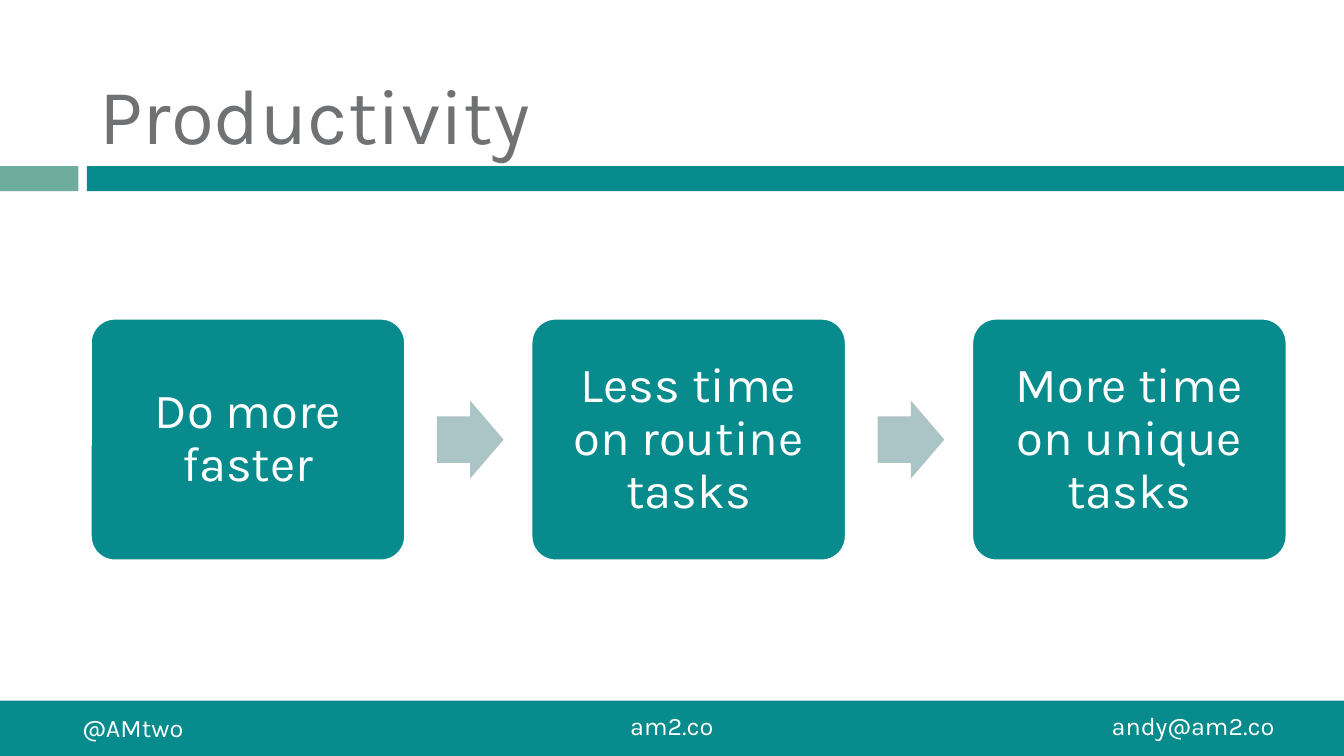
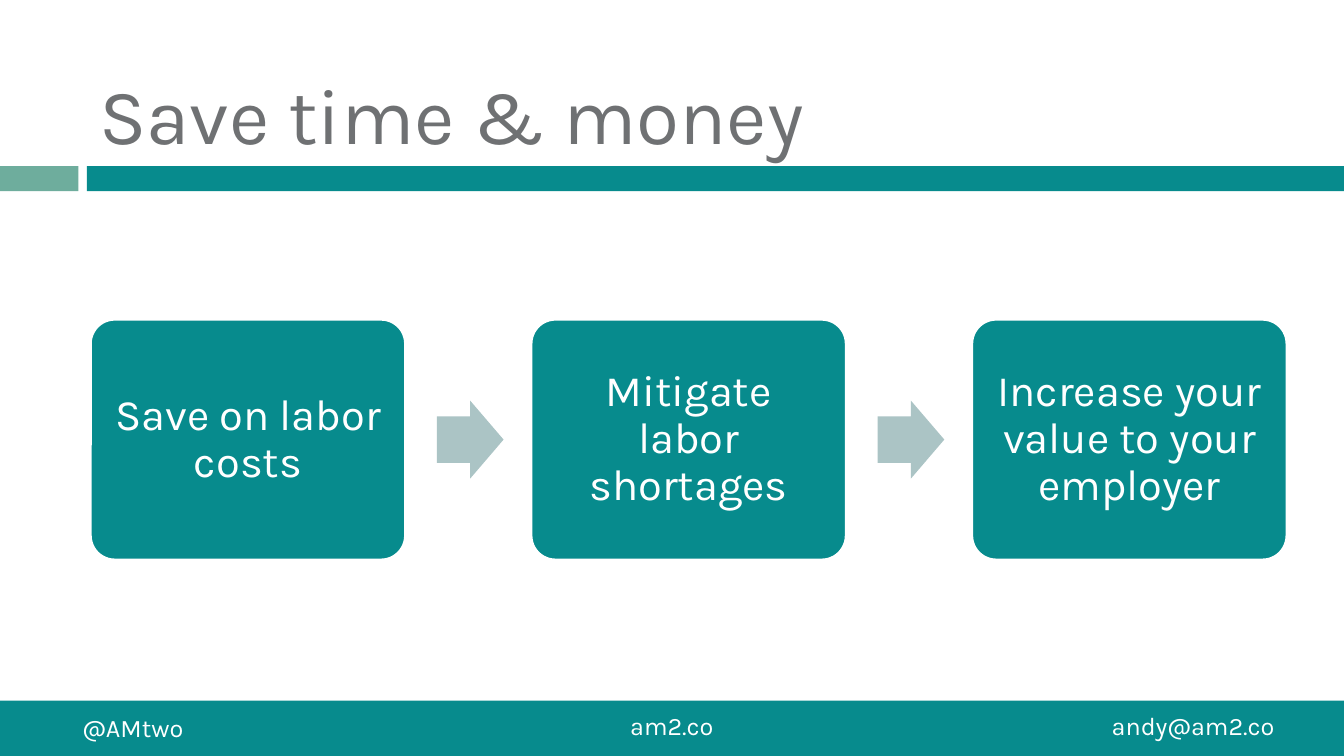
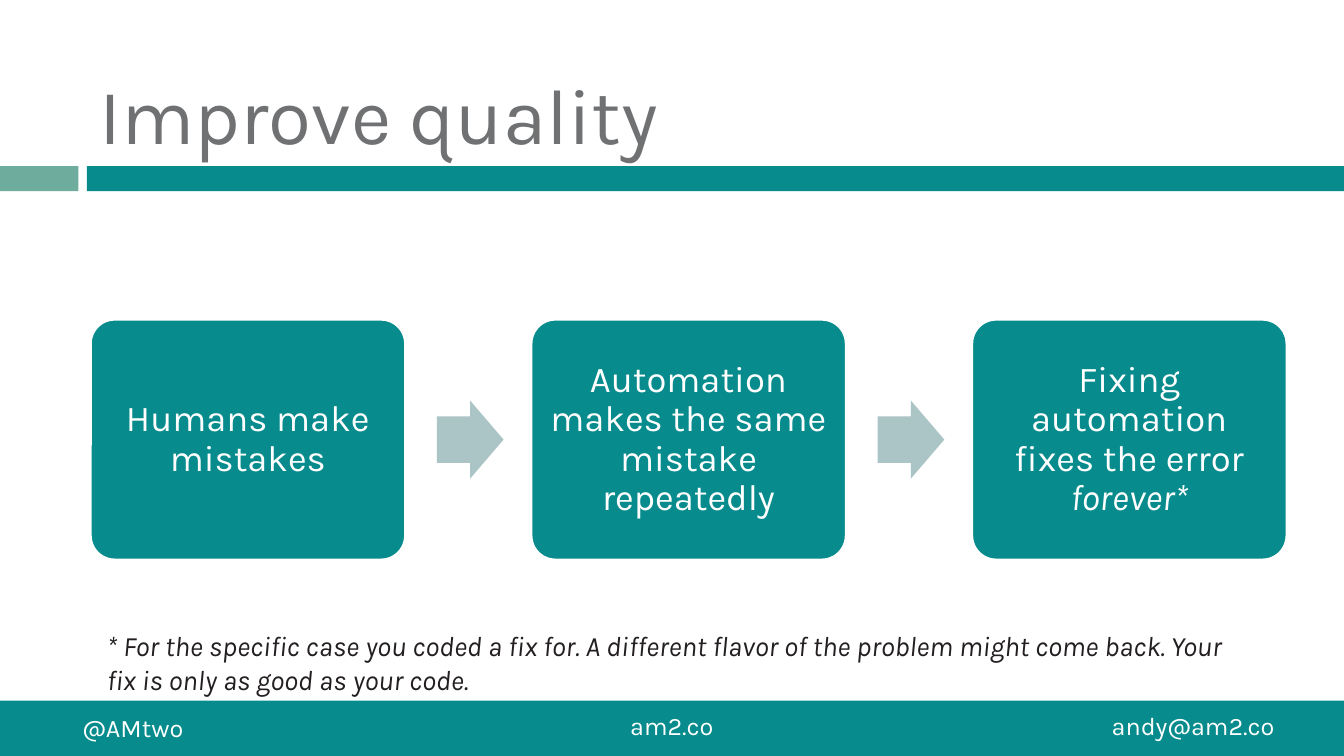
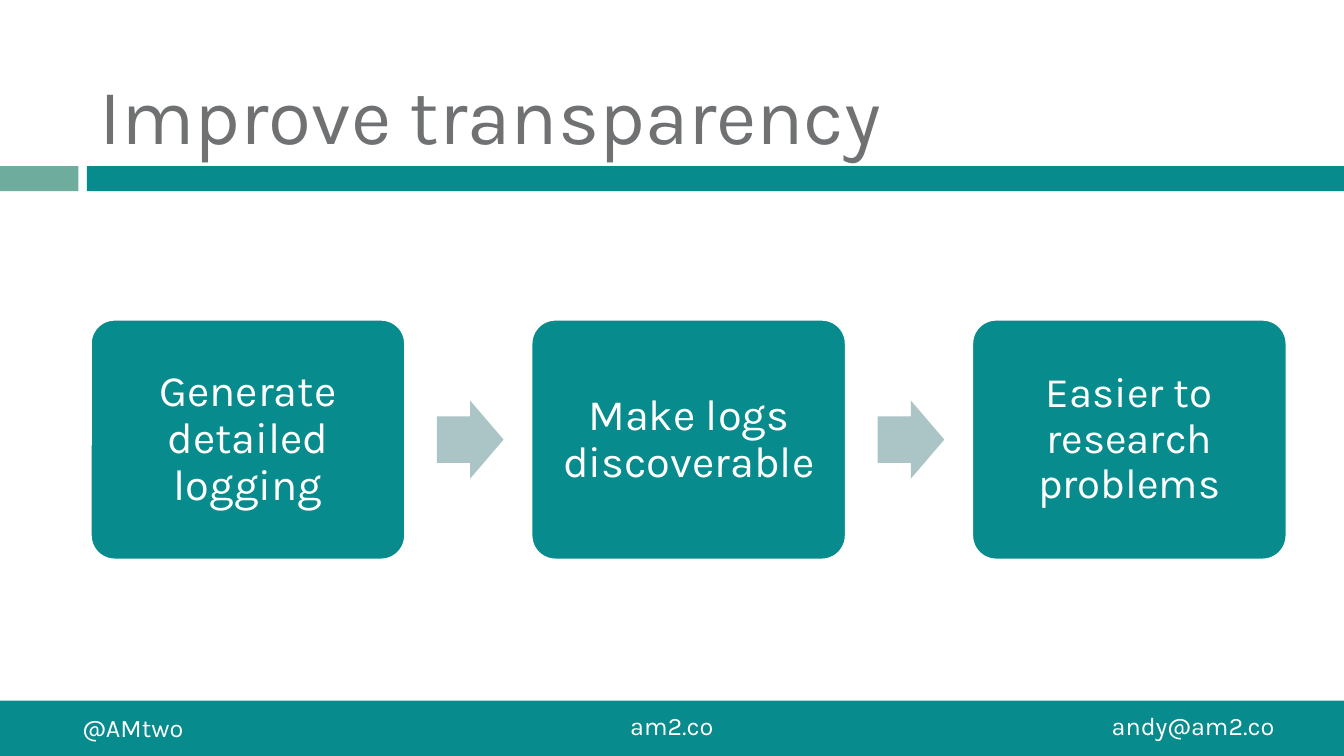
"""Four slides on the benefits of automation, each a three-step flow."""
from pptx import Presentation
from pptx.dml.color import RGBColor
from pptx.enum.shapes import MSO_SHAPE as Preset
from pptx.enum.text import MSO_ANCHOR as Anchor, PP_ALIGN as Align
from pptx.util import Pt

COLORS = {
    "teal": "078B8D",
    "sage": "6EAD9D",
    "mist": "ABC4C5",
    "title": "6F7173",
    "ink": "231F20",
    "white": "FFFFFF",
}
FONT = "Karla"
SLIDE_W, SLIDE_H = 960, 540
FOOTER_H = 39.6

STEP_LEFT, STEP_W, STEP_PITCH = 64.8, 224.6, 314.8
FLOW_MIDDLE = 314
ARROW_W, ARROW_H, ARROW_GAP = 47.6, 55.6, 22.7
INSET_RATIO = 0.305

FOOTER = [
    ("@AMtwo", 51.8, 505.4, 93.6, Align.LEFT),
    ("am2.co", 413.3, 504, 133.2, Align.CENTER),
    ("andy@am2.co", 787, 504, 133.2, Align.LEFT),
]

FLOWS = [
    ("Productivity", 172.8, [
        (["Do more faster"], 35),
        (["Less time on routine tasks"], 35),
        (["More time on unique tasks"], 35),
    ]),
    ("Save time & money", 171.4, [
        (["Save on labor costs"], 31),
        (["Mitigate labor shortages"], 31),
        (["Increase your value to your employer"], 31),
    ]),
    ("Improve quality", 171.4, [
        (["Humans make mistakes"], 26),
        (["Automation makes the same mistake repeatedly"], 26),
        (["Fixing automation fixes the error ", "forever*"], 26),
    ]),
    ("Improve transparency", 171.4, [
        (["Generate detailed logging"], 31),
        (["Make logs discoverable"], 31),
        (["Easier to research problems"], 30),
    ]),
]

FOOTNOTES = {
    "Improve quality": "* For the specific case you coded a fix for. A different flavor of "
                       "the problem might come back. Your fix is only as good as your code.",
}


def rgb(name):
    return RGBColor.from_string(COLORS[name])


def style(run, size, color, italic=False):
    run.font.name = FONT
    run.font.size = Pt(size)
    run.font.color.rgb = rgb(color)
    run.font.italic = italic


def add_block(slide, preset, left, top, width, height, color):
    block = slide.shapes.add_shape(preset, Pt(left), Pt(top), Pt(width), Pt(height))
    block.shadow.inherit = False
    block.fill.solid()
    block.fill.fore_color.rgb = rgb(color)
    block.line.fill.background()
    return block


def add_label(slide, text, left, top, width, height, size, color,
              align=Align.LEFT, anchor=Anchor.TOP, italic=False):
    label = slide.shapes.add_textbox(Pt(left), Pt(top), Pt(width), Pt(height))
    frame = label.text_frame
    frame.word_wrap = True
    frame.vertical_anchor = anchor
    frame.text = text
    paragraph = frame.paragraphs[0]
    paragraph.alignment = align
    style(paragraph.runs[0], size, color, italic)


def add_step(slide, left, height, pieces, size):
    step = add_block(slide, Preset.ROUNDED_RECTANGLE, left, FLOW_MIDDLE - height / 2,
                     STEP_W, height, "teal")
    step.adjustments[0] = 0.1
    step.line.color.rgb = rgb("white")
    step.line.width = Pt(1.5)
    frame = step.text_frame
    frame.word_wrap = True
    frame.vertical_anchor = Anchor.MIDDLE
    inset = Pt(size * INSET_RATIO)
    frame.margin_left = frame.margin_right = inset
    frame.margin_top = frame.margin_bottom = inset
    paragraph = frame.paragraphs[0]
    paragraph.alignment = Align.CENTER
    paragraph.line_spacing = 0.9
    for position, piece in enumerate(pieces):
        run = paragraph.add_run()
        run.text = piece
        style(run, size, "white", italic=position > 0)


def add_flow(slide, height, steps):
    for position, (pieces, size) in enumerate(steps):
        left = STEP_LEFT + position * STEP_PITCH
        add_step(slide, left, height, pieces, size)
        if position < len(steps) - 1:
            arrow = add_block(slide, Preset.RIGHT_ARROW, left + STEP_W + ARROW_GAP,
                              FLOW_MIDDLE - ARROW_H / 2, ARROW_W, ARROW_H, "mist")
            arrow.adjustments[0] = 0.6
            arrow.adjustments[1] = 0.5


def add_frame(slide, title):
    add_block(slide, Preset.RECTANGLE, 0, 118.6, 56, 18, "sage")
    add_block(slide, Preset.RECTANGLE, 62, 118.6, SLIDE_W - 62, 18, "teal")
    add_block(slide, Preset.RECTANGLE, 0, SLIDE_H - FOOTER_H, SLIDE_W, FOOTER_H, "teal")
    for text, left, top, width, align in FOOTER:
        add_label(slide, text, left, top, width, 29, 18, "white", align)
    add_label(slide, title, 64, 12.2, 856, 106, 56, "title", anchor=Anchor.BOTTOM)


def main():
    deck = Presentation()
    deck.slide_width, deck.slide_height = Pt(SLIDE_W), Pt(SLIDE_H)
    blank = deck.slide_layouts[6]
    for title, height, steps in FLOWS:
        slide = deck.slides.add_slide(blank)
        add_frame(slide, title)
        add_flow(slide, height, steps)
        if title in FOOTNOTES:
            add_label(slide, FOOTNOTES[title], 69.2, 445.7, 835, 55.4, 20, "ink", italic=True)
    deck.save("out.pptx")


if __name__ == "__main__":
    main()
